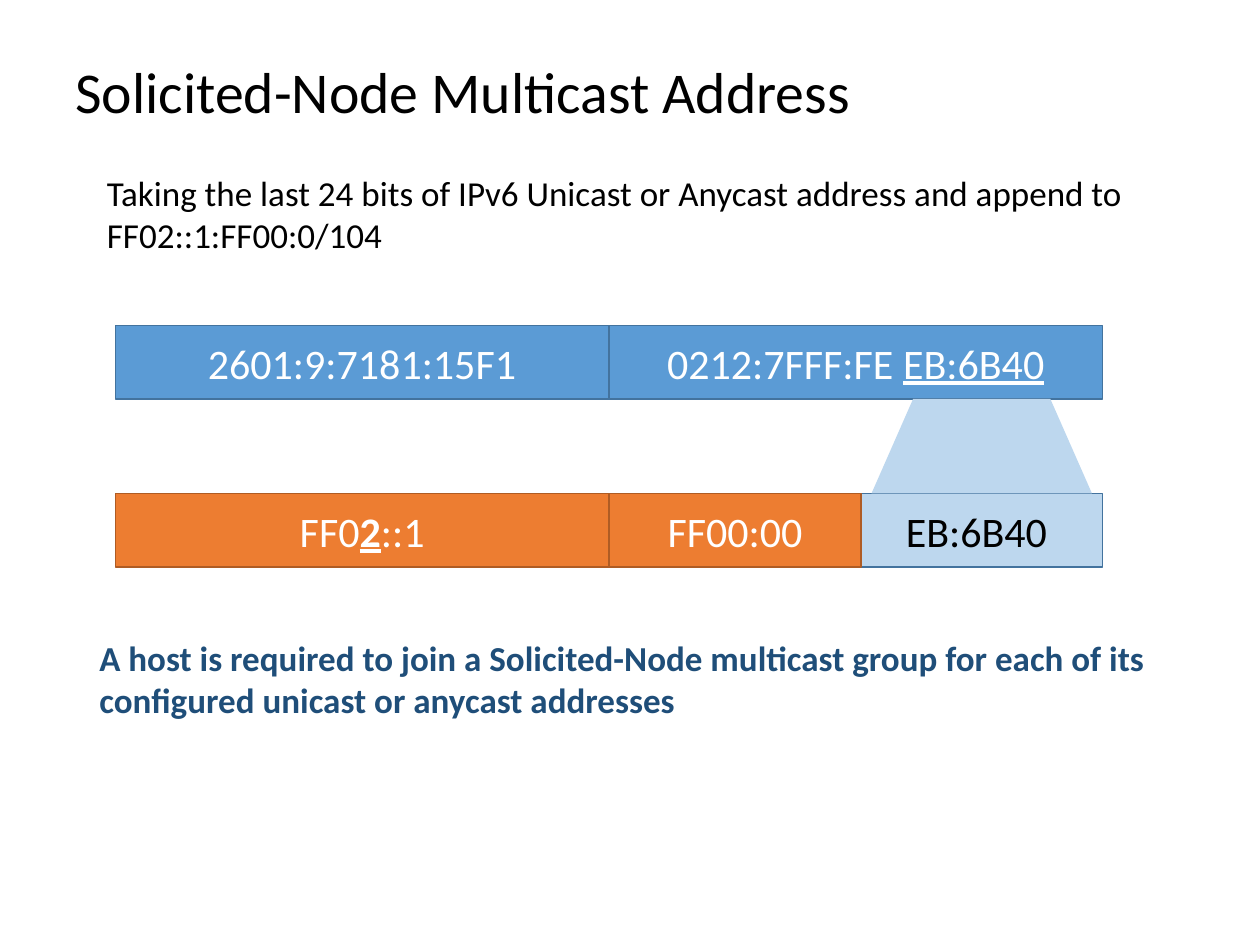
"""Build the slide on solicited-node multicast addresses."""
import pptx
import pptx.util
import pptx.dml.color
import pptx.enum.shapes
import pptx.enum.text

Pt = pptx.util.Pt
RGB = pptx.dml.color.RGBColor
KIND = pptx.enum.shapes.MSO_SHAPE
ALIGN = pptx.enum.text.PP_ALIGN
ANCHOR = pptx.enum.text.MSO_ANCHOR

BLACK = RGB(0x00, 0x00, 0x00)
WHITE = RGB(0xFF, 0xFF, 0xFF)
BLUE = RGB(0x5B, 0x9B, 0xD5)
EDGE = RGB(0x43, 0x73, 0x9E)
PALE = RGB(0xBD, 0xD7, 0xEE)
NAVY = RGB(0x1F, 0x4E, 0x79)
ORANGE = RGB(0xED, 0x7D, 0x31)
RUST = RGB(0xAF, 0x5C, 0x24)


def write(frame, runs, color, align, anchor, size, bold=False):
    frame.word_wrap = True
    frame.vertical_anchor = anchor
    para = frame.paragraphs[0]
    para.alignment = align
    for text, extra in runs:
        run = para.add_run()
        run.text = text
        look = {"name": "Calibri", "size": Pt(size), "bold": bold, **extra}
        for key, value in look.items():
            setattr(run.font, key, value)
        run.font.color.rgb = color
    return para


def block(kind, left, top, width, height, fill):
    shape = slide.shapes.add_shape(kind, Pt(left), Pt(top), Pt(width), Pt(height))
    shape.shadow.inherit = False
    shape.fill.solid()
    shape.fill.fore_color.rgb = fill
    return shape


deck = pptx.Presentation()
deck.slide_width, deck.slide_height = Pt(720), Pt(540)
slide = deck.slides.add_slide(deck.slide_layouts[6])

notes = [
    ("Solicited-Node Multicast Address",
     (36, 29.5, 620.6, 49), BLACK, ANCHOR.MIDDLE, 33, False, 0.9),
    ("Taking the last 24 bits of IPv6 Unicast or Anycast address and append to "
     "FF02::1:FF00:0/104",
     (54, 94.3, 643.7, 55.4), BLACK, ANCHOR.TOP, 20, False, 1),
    ("A host is required to join a Solicited-Node multicast group for each of its "
     "configured unicast or anycast addresses",
     (49.7, 360, 648, 55.4), NAVY, ANCHOR.TOP, 20, True, 1),
]
for text, place, color, anchor, size, bold, space in notes:
    box = slide.shapes.add_textbox(*map(Pt, place))
    para = write(box.text_frame, [(text, {})], color, ALIGN.LEFT, anchor, size, bold)
    para.line_spacing = space

LEFT, HALF, PART, TALL = 66, 282, 144, 42
MID = LEFT + HALF
END = MID + HALF
HIGH, LOW = 186, 282
line = {"underline": True}
cells = [
    (MID, HIGH, HALF, BLUE, EDGE, WHITE, [("0212:7FFF:FE ", {}), ("EB:6B40", line)]),
    (LEFT, HIGH, HALF, BLUE, EDGE, WHITE, [("2601:9:7181:15F1", {})]),
    (END - PART, LOW, PART, PALE, EDGE, BLACK, [("EB:6B40", {})]),
    (LEFT, LOW, HALF, ORANGE, RUST, WHITE,
     [("FF0", {}), ("2", {"bold": True, **line}), ("::1", {})]),
    (MID, LOW, PART, ORANGE, RUST, WHITE, [("FF00:00", {})]),
]
for left, top, width, fill, edge, color, runs in cells:
    cell = block(KIND.RECTANGLE, left, top, width, TALL, fill)
    cell.line.color.rgb = edge
    cell.line.width = Pt(1)
    write(cell.text_frame, runs, color, ALIGN.CENTER, ANCHOR.MIDDLE, 24)

beam = block(KIND.TRAPEZOID, 498, HIGH + TALL, 126, LOW - HIGH - TALL, PALE)
beam.adjustments[0] = 0.44
beam.line.fill.background()

deck.save("out.pptx")
